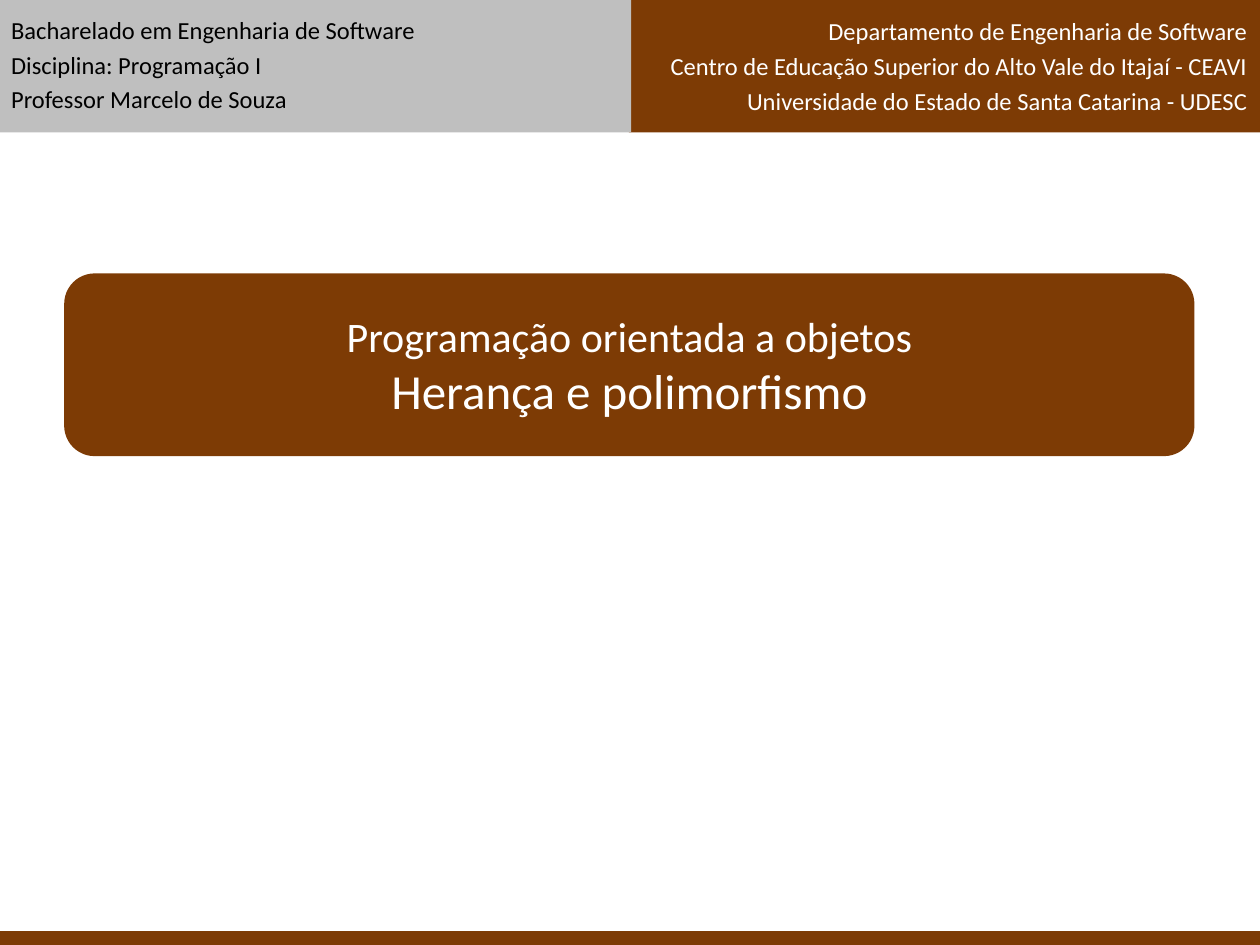
"""Build the opening slide of a lecture on inheritance and polymorphism."""
from pptx import Presentation
from pptx.dml.color import RGBColor
from pptx.enum.shapes import MSO_SHAPE
from pptx.enum.text import MSO_ANCHOR, MSO_AUTO_SIZE, PP_ALIGN
from pptx.util import Inches, Pt

RECTANGLE, ROUNDED = MSO_SHAPE.RECTANGLE, MSO_SHAPE.ROUNDED_RECTANGLE
LEFT, CENTER, RIGHT = PP_ALIGN.LEFT, PP_ALIGN.CENTER, PP_ALIGN.RIGHT
BROWN = RGBColor(0x7D, 0x3B, 0x05)
GRAY = RGBColor(0xBF, 0xBF, 0xBF)
WHITE = RGBColor(0xFF, 0xFF, 0xFF)
BLACK = RGBColor(0, 0, 0)
FONT = "Calibri"
TITLE_ONLY = 5
TITLE_BOX = (0.51, 2.17, 8.97, 1.45)
FRAME_FORMAT = {
    "word_wrap": True,
    "auto_size": MSO_AUTO_SIZE.NONE,
    "vertical_anchor": MSO_ANCHOR.MIDDLE,
}
TITLE_LINES = [("Programação orientada a objetos", 24), ("Herança e polimorfismo", 28)]
COURSE_LINES = [
    ("Bacharelado em Engenharia de Software", 14),
    ("Disciplina: Programação I", 14),
    ("Professor Marcelo de Souza", 14),
]
SCHOOL_LINES = [
    ("Departamento de Engenharia de Software", 14),
    ("Centro de Educação Superior do Alto Vale do Itajaí - CEAVI", 14),
    ("Universidade do Estado de Santa Catarina - UDESC", 14),
]


def set_values(target, values):
    """Set each named attribute of the target."""
    for name, value in values.items():
        setattr(target, name, value)


def add_panel(slide, box, color, kind=RECTANGLE):
    """Add a filled shape without outline or shadow."""
    shape = slide.shapes.add_shape(kind, *map(Inches, box))
    shape.shadow.inherit = False
    shape.fill.solid()
    shape.fill.fore_color.rgb = color
    shape.line.fill.background()
    return shape


def write_lines(shape, lines, color, alignment, spacing=0):
    """Write one paragraph for each pair of text and size."""
    frame = shape.text_frame
    set_values(frame, FRAME_FORMAT)
    frame.text = "\n".join(text for text, _ in lines)
    for paragraph, (_, size) in zip(frame.paragraphs, lines):
        set_values(paragraph, {
            "alignment": alignment,
            "space_before": Pt(spacing),
            "space_after": Pt(spacing),
        })
        font = paragraph.runs[0].font
        set_values(font, {"name": FONT, "size": Pt(size)})
        font.color.rgb = color


def add_header_text(slide, box, lines, color, alignment):
    """Add a text box with the lines of one header half."""
    shape = slide.shapes.add_textbox(*map(Inches, box))
    write_lines(shape, lines, color, alignment, spacing=1.6)


def add_title(slide):
    """Place the title placeholder on a rounded panel."""
    panel = add_panel(slide, TITLE_BOX, BROWN, ROUNDED)
    title = slide.shapes.title
    sides = ("left", "top", "width", "height")
    set_values(title, dict(zip(sides, map(Inches, TITLE_BOX))))
    write_lines(title, TITLE_LINES, WHITE, CENTER)
    panel.element.addnext(title.element)


def main():
    """Build and save the slide."""
    presentation = Presentation()
    set_values(presentation, {"slide_width": Inches(10), "slide_height": Inches(7.5)})
    slide = presentation.slides.add_slide(presentation.slide_layouts[TITLE_ONLY])
    add_panel(slide, (4.99, 0, 5.01, 1.05), BROWN)
    add_title(slide)
    add_header_text(slide, (4.99, -0.03, 5.01, 1.1), SCHOOL_LINES, WHITE, RIGHT)
    add_panel(slide, (0, 0, 5.01, 1.05), GRAY)
    add_header_text(slide, (-0.01, -0.04, 5, 1.1), COURSE_LINES, BLACK, LEFT)
    add_panel(slide, (0, 7.39, 10, 0.11), BROWN)
    presentation.save("out.pptx")


if __name__ == "__main__":
    main()
